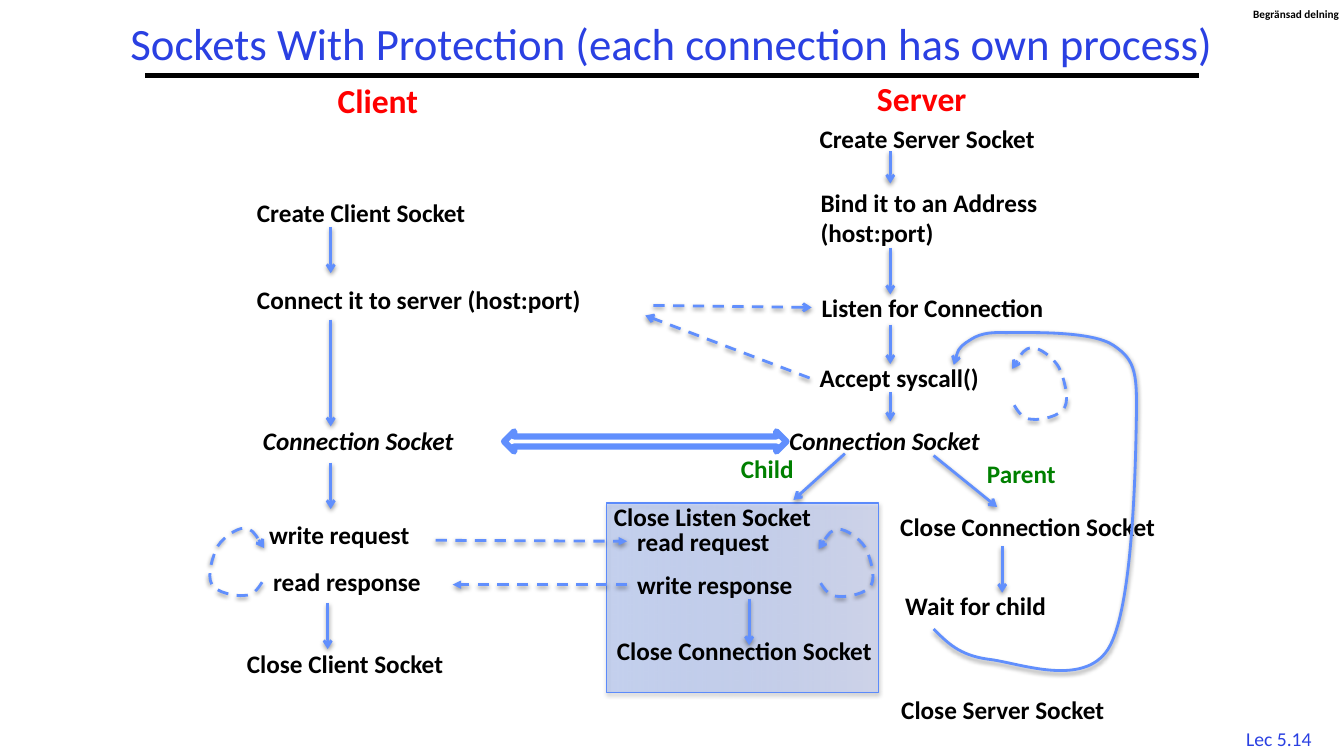
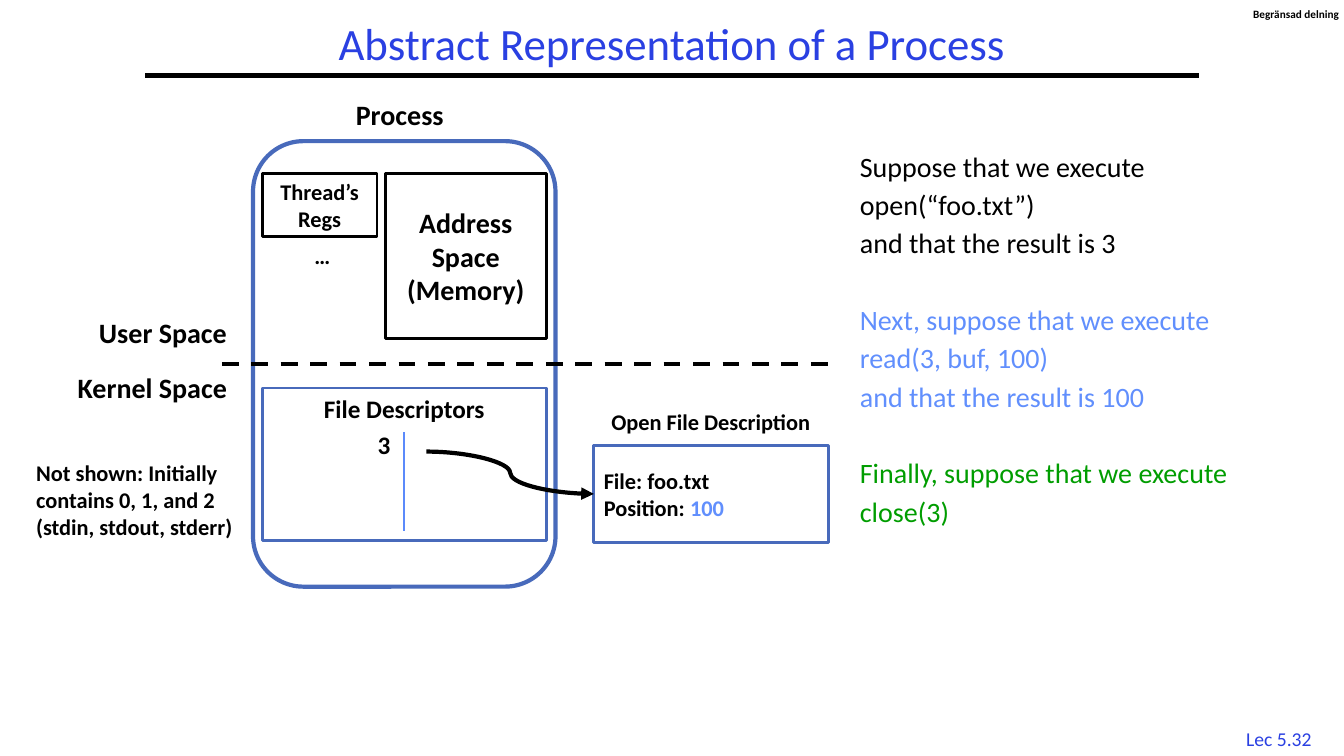
from lxml.etree import SubElement
from pptx import Presentation
from pptx.dml.color import RGBColor
from pptx.enum.dml import MSO_LINE
from pptx.enum.shapes import MSO_CONNECTOR as LINK, MSO_SHAPE as KIND
from pptx.enum.text import MSO_ANCHOR as ANCHOR, MSO_AUTO_SIZE as FIT, PP_ALIGN as ALIGN
from pptx.oxml.ns import qn
from pptx.util import Inches, Pt

FONT = "Calibri"
BLACK = RGBColor(0, 0, 0)
WHITE = RGBColor(255, 255, 255)
INDIGO = RGBColor(0x2A, 0x40, 0xE2)
SKY = RGBColor(0x61, 0x8F, 0xFD)
AZURE = RGBColor(0x5B, 0x8A, 0xFB)
STEEL = RGBColor(0x48, 0x6A, 0xBB)
RED = RGBColor(255, 0, 0)
GREEN = RGBColor(0, 0x80, 0)
LEAF = RGBColor(0, 0x9D, 0)


def stroke(shape, color=SKY, width=2, dash=False, tail=None, shade=0):
    """Set line, arrowhead and shadow; shade is the shadow's opacity in percent."""
    shape.line.color.rgb = color
    shape.line.width = Pt(width)
    if dash:
        shape.line.dash_style = MSO_LINE.DASH
    props = shape._element.spPr
    if tail:
        SubElement(props.find(qn("a:ln")), qn("a:tailEnd"), type=tail)
    effect = SubElement(props, qn("a:effectLst"))
    if shade:
        cast = SubElement(effect, qn("a:outerShdw"), blurRad="40000", dist="20000",
                          dir="5400000", rotWithShape="0")
        tint = SubElement(cast, qn("a:srgbClr"), val="000000")
        SubElement(tint, qn("a:alpha"), val=str(shade * 1000))


def text(page, at, lines, size=18, color=BLACK, bold=True, italic=False,
         align=ALIGN.LEFT, anchor=ANCHOR.TOP, wrap=False, pad=True,
         edge=None, gap=0, lead=None):
    """Add a text box, or a white box if edge is given; a line is a string or (text, color) runs."""
    place = [Inches(v) for v in at]
    if edge is None:
        shape = page.shapes.add_textbox(*place)
    else:
        shape = page.shapes.add_shape(KIND.RECTANGLE, *place)
        shape.fill.solid()
        shape.fill.fore_color.rgb = WHITE
        stroke(shape, edge)
    frame = shape.text_frame
    frame.word_wrap = wrap
    frame.auto_size = FIT.NONE if wrap else FIT.SHAPE_TO_FIT_TEXT
    frame.vertical_anchor = anchor
    if not pad:
        frame.margin_left = frame.margin_right = frame.margin_top = frame.margin_bottom = 0
    for i, line in enumerate(lines):
        para = frame.paragraphs[0] if i == 0 else frame.add_paragraph()
        para.alignment = align
        if lead:
            para.line_spacing = lead
        if i and gap:
            para.space_before = Pt(gap)
        for words, tint in ([(line, color)] if isinstance(line, str) else line):
            run = para.add_run()
            run.text = words
            font = run.font
            font.name, font.size, font.bold, font.italic = FONT, Pt(size), bold, italic
            font.color.rgb = tint
    return shape


deck = Presentation()
deck.slide_width, deck.slide_height = Inches(13.33), Inches(7.5)

# Shared frame: title, rule, label and page mark
pages = []
for title, mark in [
    ("Sockets With Protection (each connection has own process)", "Lec 5.14"),
    ("Abstract Representation of a Process", "Lec 5.32"),
]:
    page = deck.slides.add_slide(deck.slide_layouts[6])
    pages.append(page)
    text(page, (12.2, 7.16, 0.97, 0.33), [mark], size=14, color=INDIGO, bold=False,
         align=ALIGN.CENTER)
    rule = page.shapes.add_connector(LINK.STRAIGHT, Inches(1.44), Inches(0.75),
                                     Inches(11.89), Inches(0.75))
    stroke(rule, BLACK, 3)
    text(page, (12.43, 0.07, 0.86, 0.13), ["Begränsad delning"], size=8, pad=False)
    text(page, (0.5, 0.17, 12.33, 0.58), [title], size=32, color=INDIGO, bold=False,
         align=ALIGN.CENTER, anchor=ANCHOR.MIDDLE, wrap=True, lead=0.9)
flow, model = pages

# Slide 1: child process panel
panel = flow.shapes.add_shape(KIND.RECTANGLE, Inches(6.02), Inches(4.99),
                              Inches(2.69), Inches(1.88))
panel.fill.gradient()
panel.fill.gradient_angle = 0
for stop, tint in zip(panel.fill.gradient_stops, ("5F8EFF", "C4D0FF")):
    stop.color.rgb = RGBColor.from_string(tint)
for tint, alpha in zip(panel._element.spPr.iter(qn("a:srgbClr")), (26, 46)):
    SubElement(tint, qn("a:alpha"), val=str(alpha * 1000))
stroke(panel, AZURE, 0.75, shade=35)

# Slide 1: labels
for x, y, w, word in [(3.25, 0.74, 1.14, "Client"), (8.6, 0.72, 1.3, "Server")]:
    text(flow, (x, y, w, 0.5), [word], size=24, color=RED)
for x, y, w, word in [(7.25, 4.45, 0.83, "Child"), (9.69, 4.5, 0.99, "Parent")]:
    text(flow, (x, y, w, 0.4), [word], color=GREEN)
for x in (2.51, 7.73):
    text(flow, (x, 4.17, 2.49, 0.4), ["Connection Socket"], italic=True)
text(flow, (8.04, 1.81, 2.8, 0.71), ["Bind it to an Address", "(host:port)"])
steps = {}
for x, y, w, word in [
    (2.45, 1.91, 2.66, "Create Client Socket"),
    (2.45, 2.77, 3.92, "Connect it to server (host:port)"),
    (2.57, 5.1, 1.77, "write request"),
    (2.61, 5.57, 1.91, "read response"),
    (2.35, 6.38, 2.57, "Close Client Socket"),
    (8.03, 1.17, 2.74, "Create Server Socket"),
    (8.05, 2.85, 2.8, "Listen for Connection"),
    (8.03, 3.55, 2.13, "Accept syscall()"),
    (5.99, 4.92, 2.75, "Close Listen Socket"),
    (6.22, 5.17, 1.77, "read request"),
    (6.22, 5.6, 1.99, "write response"),
    (6.02, 6.25, 2.94, "Close Connection Socket"),
    (8.83, 5.02, 2.75, "Close Connection Socket"),
    (8.88, 5.81, 2.75, "Wait for child"),
    (8.84, 6.84, 2.7, "Close Server Socket"),
]:
    steps[word] = text(flow, (x, y, w, 0.4), [word])

# Slide 1: solid arrows between steps
for x1, y1, x2, y2 in [
    (3.28, 2.25, 3.28, 2.71), (3.28, 3.17, 3.28, 4.23), (3.28, 4.59, 3.28, 5.05),
    (3.25, 5.98, 3.25, 6.44), (8.83, 1.5, 8.83, 1.82), (8.83, 2.46, 8.83, 2.92),
    (8.83, 3.22, 8.83, 3.61), (8.83, 3.89, 8.83, 4.18), (8.38, 4.5, 7.87, 4.96),
    (9.26, 4.52, 9.89, 5.03), (7.43, 5.94, 7.43, 6.4), (9.94, 5.42, 9.94, 5.88),
]:
    arrow = flow.shapes.add_connector(LINK.STRAIGHT, Inches(x1), Inches(y1),
                                      Inches(x2), Inches(y2))
    stroke(arrow, tail="arrow", shade=38)

# Slide 1: dashed messages, joined to the left side of a server step
for x1, y1, x2, y2, start, end, tail in [
    (6.48, 3.03, 8.05, 3.05, None, "Listen for Connection", "arrow"),
    (8.03, 3.75, 6.4, 3.13, "Accept syscall()", None, "arrow"),
    (4.32, 5.36, 6.22, 5.37, None, "read request", "triangle"),
    (6.22, 5.8, 4.49, 5.8, "write response", None, "triangle"),
]:
    arrow = flow.shapes.add_connector(LINK.STRAIGHT, Inches(x1), Inches(y1),
                                      Inches(x2), Inches(y2))
    if start:
        arrow.begin_connect(steps[start], 1)
    if end:
        arrow.end_connect(steps[end], 1)
    stroke(arrow, dash=True, tail=tail, shade=38)

pipe = flow.shapes.add_shape(KIND.LEFT_RIGHT_ARROW, Inches(5), Inches(4.28),
                             Inches(2.8), Inches(0.2))
pipe.fill.solid()
pipe.fill.fore_color.rgb = WHITE
stroke(pipe, width=4.5)

# Slide 1: curved loops, a start point and then three points per Bezier piece
LOOP = [(0.02, 0.57), (0.06, 0.64), (0.11, 0.71), (0.2, 0.71), (0.28, 0.72), (0.48, 0.68),
        (0.52, 0.59), (0.57, 0.5), (0.51, 0.29), (0.46, 0.19), (0.4, 0.09), (0.27, 0),
        (0.2, 0), (0.12, 0), (0.06, 0.11), (0, 0.21)]
BACK = [(9.26, 6.24), (9.39, 6.37), (9.51, 6.5), (9.8, 6.54), (10.09, 6.57), (10.74, 6.83),
        (10.99, 6.44), (11.23, 6.06), (11.26, 4.71), (11.27, 4.21), (11.28, 3.71),
        (11.27, 3.58), (11.05, 3.43), (10.84, 3.28), (10.21, 3.3), (9.97, 3.3),
        (9.72, 3.29), (9.66, 3.35), (9.58, 3.4), (9.5, 3.46), (9.48, 3.54), (9.46, 3.62)]
for points, x, y, sx, sy, dash in [
    (BACK, 0, 0, 1, 1, False),
    (LOOP, 10.04, 3.45, 1, 1, True),
    (LOOP, 8.12, 5.25, 1, 0.94, True),
    (LOOP, 2.62, 5.24, -1, 0.94, True),
]:
    spots = [(Inches(x + sx * px), Inches(y + sy * py)) for px, py in points]
    pen = flow.shapes.build_freeform(*spots[0])
    pen.add_line_segments(spots[1:], close=False)
    curve = pen.convert_to_shape()
    track = next(curve._element.spPr.iter(qn("a:path")))
    parts = track.findall(qn("a:lnTo"))
    for i in range(0, len(parts), 3):
        piece = SubElement(track, qn("a:cubicBezTo"))
        for part in parts[i:i + 3]:
            piece.append(part[0])
            track.remove(part)
    curve.fill.background()
    stroke(curve, dash=dash, tail="arrow", shade=38)

# Slide 2: story on the right
groups = [
    (BLACK, ["Suppose that we execute", "open(“foo.txt”)", "and that the result is 3"]),
    (SKY, ["Next, suppose that we execute", "read(3, buf, 100)", "and that the result is 100"]),
    (LEAF, ["Finally, suppose that we execute", "close(3)"]),
]
story = text(model, (8.43, 1.47, 4.15, 4.76),
             [[(line, tint)] for tint, lines in groups for line in lines],
             size=20, bold=False, wrap=True, gap=5.7, lead=0.9)
for i in (3, 6):
    story.text_frame.paragraphs[i].space_before = Pt(33.3)

# Slide 2: process outline and the border between spaces
shell = model.shapes.add_shape(KIND.ROUNDED_RECTANGLE, Inches(2.51), Inches(1.4),
                               Inches(3), Inches(4.42))
shell.fill.background()
stroke(shell, STEEL, 3)
border = model.shapes.add_connector(LINK.STRAIGHT, Inches(2.2), Inches(3.61),
                                    Inches(8.22), Inches(3.61))
stroke(border, BLACK, 3, dash=True)

# Slide 2: boxes
mid = dict(align=ALIGN.CENTER, anchor=ANCHOR.MIDDLE, wrap=True, edge=BLACK)
text(model, (3.82, 1.72, 1.6, 1.64), ["Address Space (Memory)"], size=20, **mid)
text(model, (2.6, 1.72, 1.14, 0.63), ["Thread’s Regs"], size=16, **mid)
text(model, (2.6, 3.85, 2.82, 1.51), ["File Descriptors"], align=ALIGN.CENTER,
     wrap=True, edge=STEEL)
file = text(model, (5.89, 4.42, 2.33, 0.96),
            ["File: foo.txt", [("Position: ", BLACK), ("100", SKY)]], size=16,
            anchor=ANCHOR.MIDDLE, wrap=True, edge=STEEL)

# Slide 2: labels
for at, word, size, align in [
    ((0.62, 3.08, 1.73, 0.44), "User Space", 20, ALIGN.RIGHT),
    ((0.37, 3.63, 1.98, 0.44), "Kernel Space", 20, ALIGN.RIGHT),
    ((3.63, 4.21, 0.34, 0.4), "3", 18, ALIGN.RIGHT),
    ((5.79, 4, 2.52, 0.37), "Open File Description", 16, ALIGN.CENTER),
    ((3.32, 0.92, 1.29, 0.44), "Process", 20, ALIGN.CENTER),
    ((3.02, 2.35, 0.43, 0.37), "…", 16, ALIGN.LEFT),
]:
    text(model, at, [word], size=size, align=align)
text(model, (0.26, 4.51, 2.21, 1.18),
     ["Not shown: Initially contains 0, 1, and 2 (stdin, stdout, stderr)"], size=16, wrap=True)

# Slide 2: table divider and pointer to the open file
split = model.shapes.add_connector(LINK.STRAIGHT, Inches(4.01), Inches(4.29),
                                   Inches(4.01), Inches(5.27))
stroke(split, AZURE, 1.5)
ref = model.shapes.add_connector(LINK.CURVE, Inches(4.23), Inches(4.48),
                                 Inches(5.89), Inches(4.9))
ref.end_connect(file, 1)
stroke(ref, BLACK, 3, tail="triangle")

deck.save("out.pptx")
